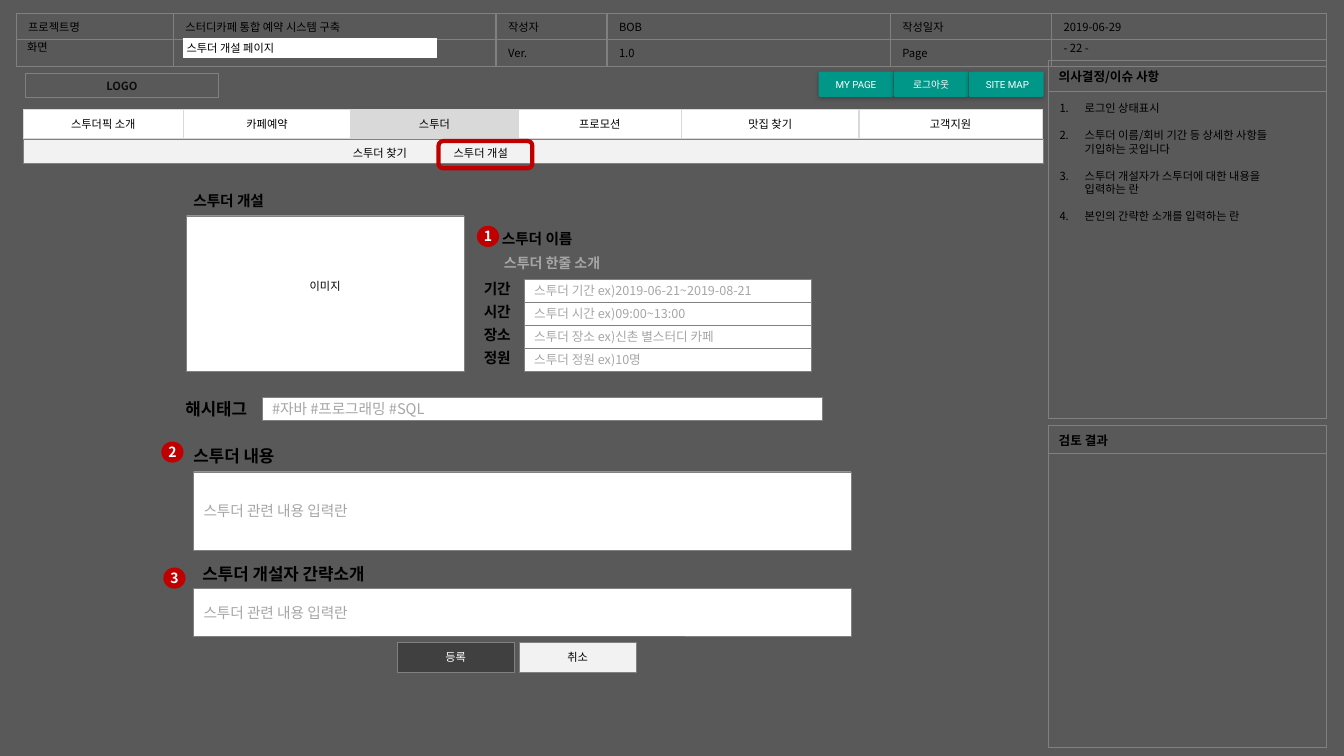
from pptx import Presentation
from pptx.dml.color import RGBColor
from pptx.enum.shapes import MSO_SHAPE as Preset
from pptx.enum.text import MSO_ANCHOR as Anchor, MSO_AUTO_SIZE as AutoSize, PP_ALIGN as Align
from pptx.oxml import parse_xml
from pptx.oxml.ns import nsdecls, qn
from pptx.util import Inches, Pt
from lxml.etree import SubElement

BLACK, WHITE, GREY, HINT = "000000", "FFFFFF", "808080", "A6A6A6"
RED, TEAL, PALE, SILVER = "C00000", "009688", "F2F2F2", "D9D9D9"


def color(code):
    return RGBColor.from_string(code)


def grid(cells):
    return Inches(cells / 10)


class Wireframe:
    """Draws wireframe parts on a grid of ten columns and ten rows to the inch."""

    font = "Noto Sans CJK KR"

    def __init__(self, deck):
        self.slide = deck.slides.add_slide(deck.slide_layouts[5])
        self.shapes = self.slide.shapes
        background = self.slide.background.fill
        background.solid()
        background.fore_color.rgb = color("595959")

    def add_words(self, paragraph, words, size=8, ink=BLACK, bold=False, font=None):
        run = paragraph.add_run()
        run.text = words
        run.font.size, run.font.bold = Pt(size), bold
        run.font.color.rgb = color(ink)
        run.font.name = font or self.font
        SubElement(run.font._element, qn("a:ea"), typeface=self.font)

    def fill_frame(self, frame, words, align=Align.LEFT, inset=(1, .5), **style):
        frame.word_wrap, frame.auto_size = True, AutoSize.NONE
        frame.vertical_anchor = Anchor.MIDDLE
        frame.margin_left = frame.margin_right = grid(inset[0])
        frame.margin_top = frame.margin_bottom = grid(inset[1])
        paragraph = frame.paragraphs[0]
        paragraph.alignment = align
        self.add_words(paragraph, words, **style)

    def paint(self, shape, fill, line, weight):
        if fill:
            shape.fill.solid()
            shape.fill.fore_color.rgb = color(fill)
        else:
            shape.fill.background()
        if line:
            shape.line.color.rgb = color(line)
            shape.line.width = Pt(weight)
        else:
            shape.line.fill.background()

    def title(self, at, words, fill):
        title = self.shapes.title
        title.left, title.top, title.width, title.height = map(grid, at)
        self.paint(title, fill, fill, 1)
        self.fill_frame(title.text_frame, words, inset=(.3, 0))
        title.element.getparent().append(title.element)

    def label(self, at, words, **style):
        label = self.shapes.add_textbox(*map(grid, at))
        self.fill_frame(label.text_frame, words, **style)

    def box(self, at, words="", fill=None, line=GREY, weight=.25, preset=Preset.RECTANGLE, **style):
        box = self.shapes.add_shape(preset, *map(grid, at))
        box.shadow.inherit = False
        self.paint(box, fill, line, weight)
        if words:
            self.fill_frame(box.text_frame, words, **style)
        return box

    def field(self, at, hint, size=9):
        self.box(at, hint, fill=WHITE, size=size, ink=HINT)

    def badge(self, left, top, number):
        self.box((left, top, 2.2, 2.1), number, fill=RED, line=None, preset=Preset.OVAL,
                 align=Align.CENTER, inset=(0, 0), size=10, ink=WHITE, bold=True)

    def raised_button(self, at, words):
        button = self.box(at, words, fill=TEAL, line=None, preset=Preset.ROUNDED_RECTANGLE,
                          align=Align.CENTER, inset=(.4, .5), size=7, ink=WHITE, font="Roboto")
        button.adjustments[0] = .05
        button.element.spPr.find(qn("a:effectLst")).append(parse_xml(
            f'<a:outerShdw {nsdecls("a")} blurRad="{Pt(3)}" dist="{Pt(1)}" dir="5400000">'
            '<a:srgbClr val="000000"><a:alpha val="25000"/></a:srgbClr></a:outerShdw>'))

    def border(self, cell, line):
        for place, side in enumerate(("lnL", "lnR", "lnT", "lnB")):
            cell._tc.get_or_add_tcPr().insert(place, parse_xml(
                f'<a:{side} {nsdecls("a")} w="{Pt(1)}"><a:solidFill><a:srgbClr val="{line}"/>'
                f'</a:solidFill></a:{side}>'))

    def table(self, left, top, columns, rows, content, line=GREY, fills=None, inset=1.2,
              anchor=Anchor.MIDDLE, align=Align.LEFT, **style):
        size = map(grid, (left, top, sum(columns), sum(rows)))
        table = self.shapes.add_table(len(rows), len(columns), *size).table
        table.first_row = table.horz_banding = False
        for column, width in zip(table.columns, columns):
            column.width = grid(width)
        for row, height in zip(table.rows, rows):
            row.height = grid(height)
        for index, (cell, words) in enumerate(zip(table.iter_cells(), content)):
            if fills:
                cell.fill.solid()
                cell.fill.fore_color.rgb = color(fills[index])
            else:
                cell.fill.background()
            self.border(cell, line)
            cell.vertical_anchor = anchor
            cell.margin_left = cell.margin_right = grid(inset)
            paragraph = cell.text_frame.paragraphs[0]
            paragraph.alignment = align
            if words:
                self.add_words(paragraph, words, **style)
            else:
                paragraph.font.size = Pt(8)

    def numbered(self, at, items):
        frame = self.shapes.add_textbox(*map(grid, at)).text_frame
        frame.word_wrap = True
        for index, lines in enumerate(items):
            paragraph = frame.add_paragraph() if index else frame.paragraphs[0]
            properties = paragraph._p.get_or_add_pPr()
            properties.set("marL", str(grid(2.5)))
            properties.set("indent", str(-grid(2.5)))
            SubElement(properties, qn("a:buAutoNum"), type="arabicPeriod")
            paragraph.line_spacing = Pt(9.6)
            if index:
                paragraph.space_before = Pt(9.6)
            for order, words in enumerate(lines):
                if order:
                    paragraph.add_line_break()
                self.add_words(paragraph, words)


def draw_header(page):
    page.table(1.6, 1.3, (15.6, 32, 11, 28.1, 16, 27.3), (2.64, 2.64),
               ("프로젝트명", "스터디카페 통합 예약 시스템 구축", "작성자", "BOB", "작성일자", "2019-06-29",
                "", "", "Ver.", "1.0", "Page", ""), anchor=Anchor.TOP)
    page.title((18.2, 3.8, 25.1, 1.9), "스투더 개설 페이지", WHITE)
    page.label((1.7, 3.5, 5, 2.4), "화면")
    page.label((104.5, 3.6, 10.7, 2.4), "- 22 -")


def draw_review(page):
    for top, rows, heading in ((6, (3.1, 32.4), "의사결정/이슈 사항"), (42.2, (2.8, 29.1), "검토 결과")):
        page.table(104, top, (27.6,), rows, (heading, ""), inset=1, size=9, bold=True)
    page.numbered((104.1, 9.6, 26.2, 29.5), (
        ("로그인 상태표시",),
        ("스투더 이름/회비 기간 등 상세한 사항들", "기입하는 곳입니다"),
        ("스투더 개설자가 스투더에 대한 내용을 ", "입력하는 란"),
        ("본인의 간략한 소개를 입력하는 란",)))


def draw_navigation(page):
    page.box((2.5, 7.3, 19.2, 2.4), "LOGO", weight=.75, align=Align.CENTER, ink="0D0D0D", bold=True)
    for index, words in enumerate(("MY PAGE", "로그아웃", " SITE MAP")):
        page.raised_button((81.2 + 7.45 * index, 7.1, 7.4, 2.5), words)
    page.table(2.3, 10.9, (15.9, 16.6, 16.6, 16.2, 17.6, 18.2), (2.8,),
               ("스투더픽 소개", "카페예약", "스투더", "프로모션", "맛집 찾기", "고객지원"),
               line=SILVER, fills=(WHITE, WHITE, SILVER, WHITE, WHITE, WHITE), align=Align.CENTER)
    page.box((2.3, 13.8, 101.2, 2.4), fill=PALE, weight=.5)
    page.label((34.2, 14.1, 17.7, 2.2), "스투더 찾기\t스투더 개설", inset=(.8, .4))
    page.box((43.5, 14, 9.3, 2.7), line=RED, weight=3, preset=Preset.ROUNDED_RECTANGLE)


def draw_form(page):
    page.label((18.2, 18.5, 14.3, 2.9), "스투더 개설", size=10.5, bold=True)
    photo = page.box((18.5, 21.4, 27.5, 15.4), "이미지", fill=WHITE, align=Align.CENTER)
    photo.text_frame.margin_bottom = grid(1.9)
    page.label((48.8, 22.2, 14.3, 2.9), "스투더 이름", size=10.5, bold=True)
    page.label((49, 24.7, 14.7, 2.7), "스투더 한줄 소개", size=10, ink=HINT, bold=True)

    details = (("기간", "스투더 기간 ex)2019-06-21~2019-08-21"), ("시간", "스투더 시간 ex)09:00~13:00"),
               ("장소", "스투더 장소 ex)신촌 별스터디 카페"), ("정원", "스투더 정원 ex)10명"))
    for index, (name, hint) in enumerate(details):
        page.field((52, 27.7 + 2.27 * index, 28.5, 2.3), hint)
        page.label((47, 27.2 + 2.27 * index, 5, 2.9), name, size=10.5, bold=True)

    page.label((17.4, 39.1, 14.3, 3), "해시태그", size=12, bold=True)
    page.field((26, 39.4, 55.6, 2.3), "#자바 #프로그래밍 #SQL", size=10.5)
    for left, top, heading, field_top, height in ((18.2, 43.7, "스투더 내용", 46.8, 7.8),
                                                  (19.1, 55.4, "스투더 개설자 간략소개", 58.4, 4.7)):
        page.label((left, top, 21.2, 3), heading, size=12, bold=True)
        page.field((19.2, field_top, 65.2, height), "스투더 관련 내용 입력란", size=10.5)
    for left, top, number in ((47.3, 22.4, "1"), (16, 43.8, "2"), (16.2, 56.3, "3")):
        page.badge(left, top, number)
    for left, words, fill, ink in ((39.4, "등록", "404040", WHITE), (51.5, "취소", PALE, BLACK)):
        page.box((left, 63.7, 11.6, 3), words, fill=fill, align=Align.CENTER, ink=ink)


def main():
    deck = Presentation()
    deck.slide_width, deck.slide_height = Inches(13.33), Inches(7.5)
    page = Wireframe(deck)
    for draw in (draw_header, draw_review, draw_navigation, draw_form):
        draw(page)
    deck.save("out.pptx")


if __name__ == "__main__":
    main()
